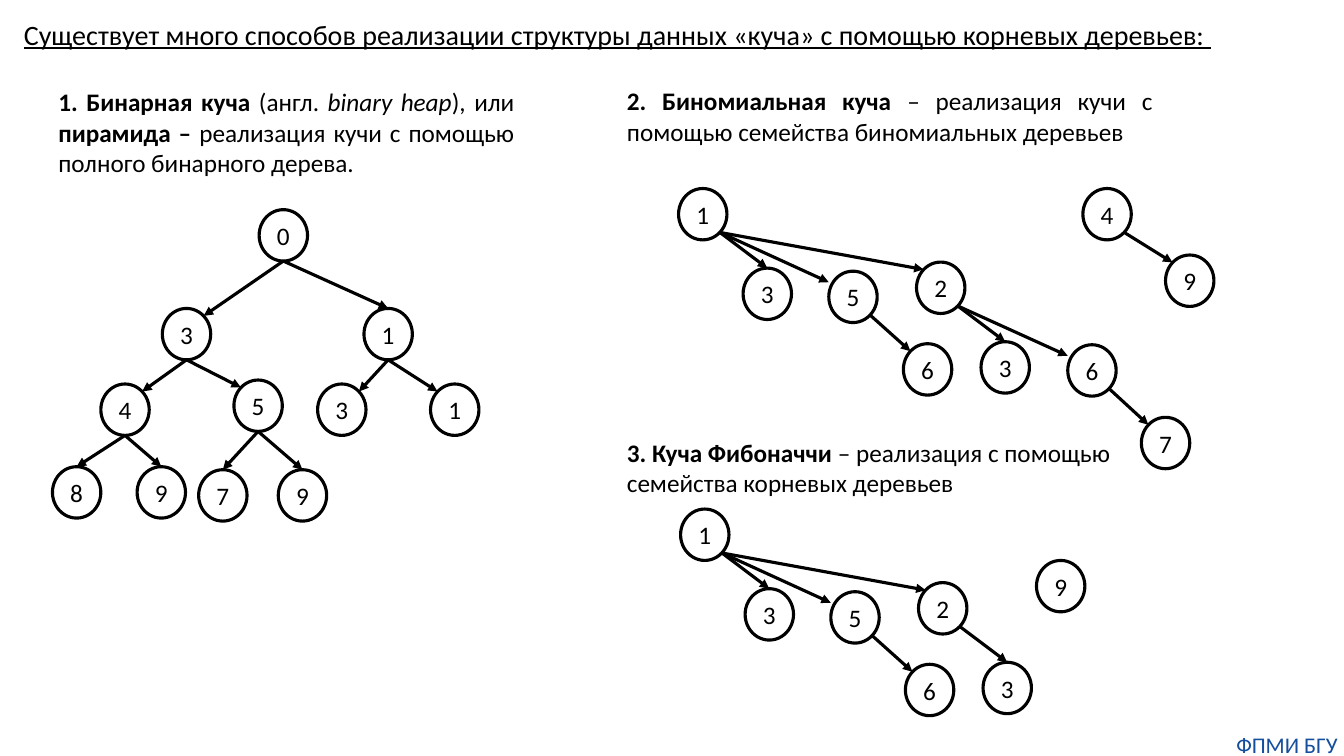
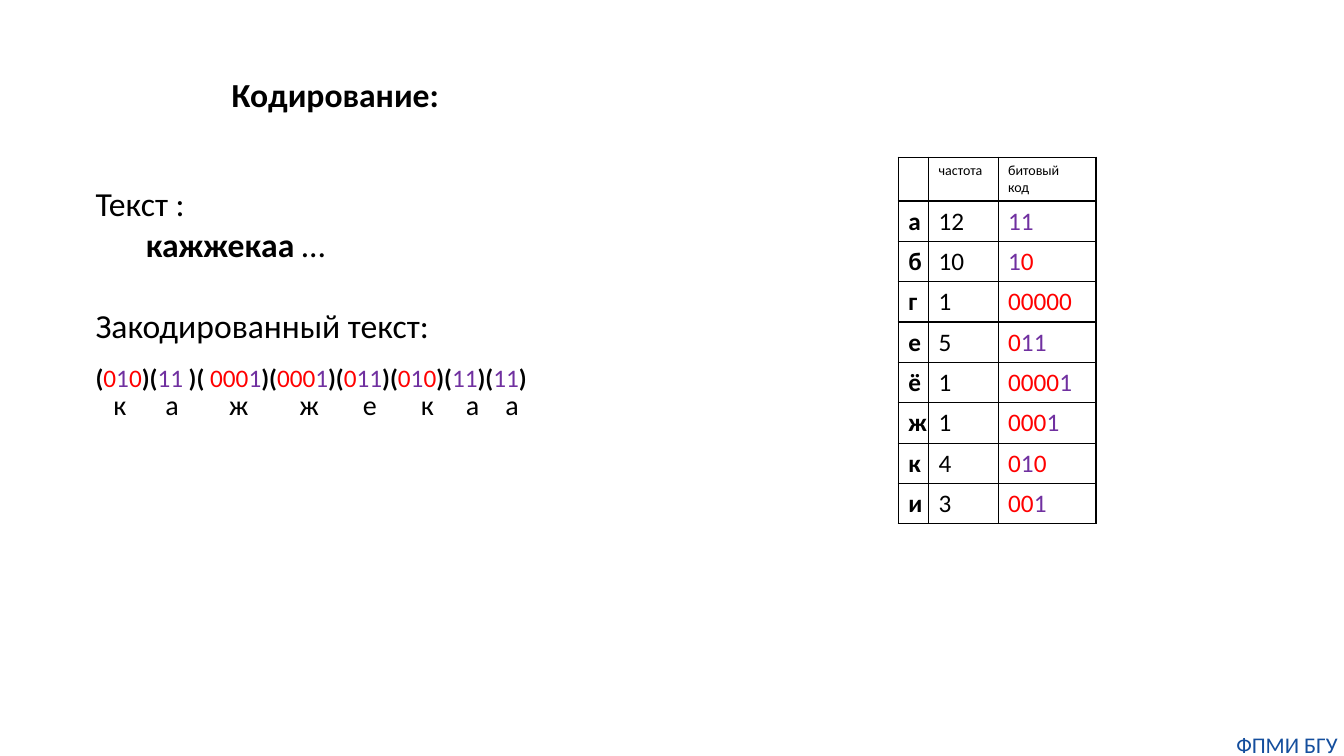
import itertools

import pptx
import pptx.dml.color
import pptx.enum.shapes
import pptx.enum.text
import pptx.oxml
import pptx.oxml.ns
import pptx.util

Inches = pptx.util.Inches
Pt = pptx.util.Pt
ALIGN = pptx.enum.text.PP_ALIGN
FONT = "Calibri"
BLACK, RED, PURPLE, BLUE = "000000", "FF0000", "7030A0", "144E9D"
NODE_W, NODE_H = 0.48, 0.51
LINE_W = 2.25

# Points on a node, as shares of its half width and half height
SITES = {
    "top": (0, -1), "bottom": (0, 1), "side": (-1, -0.57),
    "nw": (-0.71, -0.71), "ne": (0.71, -0.71), "se": (0.71, 0.71),
}


def paint(code):
    return pptx.dml.color.RGBColor.from_string(code)


# Text
def write(para, runs, size, align=None):
    """Add runs to a paragraph; a run is a text and its font values."""
    para.alignment = align
    for text, form in runs:
        run = para.add_run()
        run.text = text
        look = {"name": FONT, "size": Pt(size), **form}
        run.font.color.rgb = paint(look.pop("color", BLACK))
        for key, value in look.items():
            setattr(run.font, key, value)


def add_text(slide, at, lines, size, align=None, wrap=True, inset=None):
    box = slide.shapes.add_textbox(*map(Inches, at))
    frame = box.text_frame
    frame.word_wrap = wrap
    if inset is not None:
        set_inset(frame, inset)
    for i, runs in enumerate(lines):
        para = frame.add_paragraph() if i else frame.paragraphs[0]
        write(para, runs, size, align)
    return box


def set_inset(frame, inset):
    for side in ("left", "top", "right", "bottom"):
        setattr(frame, f"margin_{side}", Inches(inset))


def plain(text, **form):
    return [(text, form)]


def color_bits(code):
    """Red zeros, purple ones, bold black for all else."""
    forms = {"0": {"color": RED}, "1": {"color": PURPLE}}
    kinds = itertools.groupby(code, lambda c: c if c in forms else "")
    return [("".join(part), forms.get(kind, {"bold": True}))
            for kind, part in kinds]


def add_tabs(para, stops):
    props = para._p.get_or_add_pPr()
    tabs = pptx.oxml.parse_xml(
        f'<a:tabLst {pptx.oxml.ns.nsdecls("a")}>'
        + "".join(f'<a:tab pos="{Inches(x)}" algn="ctr"/>' for x in stops)
        + "</a:tabLst>")
    props.append(tabs)


# Trees
def add_node(slide, left, top, label):
    oval = slide.shapes.add_shape(
        pptx.enum.shapes.MSO_SHAPE.OVAL,
        *map(Inches, (left, top, NODE_W, NODE_H)))
    oval.shadow.inherit = False
    oval.fill.background()
    oval.line.color.rgb = paint(BLACK)
    oval.line.width = Pt(LINE_W)
    frame = oval.text_frame
    frame.word_wrap = False
    frame.vertical_anchor = pptx.enum.text.MSO_ANCHOR.MIDDLE
    set_inset(frame, 0)
    write(frame.paragraphs[0], plain(label), 18, ALIGN.CENTER)


def find_site(node, site):
    left, top = node[:2]
    dx, dy = SITES[site]
    return (Inches(left + NODE_W / 2 * (1 + dx)),
            Inches(top + NODE_H / 2 * (1 + dy)))


def add_arrow(slide, start, end):
    line = slide.shapes.add_connector(
        pptx.enum.shapes.MSO_CONNECTOR.STRAIGHT, *start, *end)
    line.line.color.rgb = paint(BLACK)
    line.line.width = Pt(LINE_W)
    space = pptx.oxml.ns.nsdecls("a")
    line.line._get_or_add_ln().append(
        pptx.oxml.parse_xml(f'<a:tailEnd {space} type="triangle"/>'))
    line._element.spPr.append(pptx.oxml.parse_xml(f"<a:effectLst {space}/>"))


def add_tree(slide, nodes, edges, exit_site, shift=(0, 0)):
    """Nodes: key -> left, top, label. Edges: parent, child, entry site."""
    nodes = {key: (x + shift[0], y + shift[1], label)
             for key, (x, y, label) in nodes.items()}
    for node in nodes.values():
        add_node(slide, *node)
    for parent, child, site in edges:
        add_arrow(slide, find_site(nodes[parent], exit_site),
                  find_site(nodes[child], site))


# Table
def add_grid(slide, left, top, widths, heights, rows):
    """Each cell is a list of paragraphs with a text size."""
    table = slide.shapes.add_table(
        len(rows), len(widths),
        *map(Inches, (left, top, sum(widths), sum(heights)))).table
    table.first_row = table.horz_banding = False
    for col, width in zip(table.columns, widths):
        col.width = Inches(width)
    for r, (row, height) in enumerate(zip(rows, heights)):
        table.rows[r].height = Inches(height)
        for c, (lines, size) in enumerate(row):
            cell = table.cell(r, c)
            cell.fill.background()
            add_edges(cell)
            for i, runs in enumerate(lines):
                frame = cell.text_frame
                para = frame.add_paragraph() if i else frame.paragraphs[0]
                write(para, runs, size)


def add_edges(cell):
    props = cell._tc.get_or_add_tcPr()
    for i, side in enumerate("LRTB"):
        props.insert(i, pptx.oxml.parse_xml(
            f'<a:ln{side} {pptx.oxml.ns.nsdecls("a")} w="{Pt(1)}"><a:solidFill>'
            f'<a:srgbClr val="{BLACK}"/></a:solidFill></a:ln{side}>'))


# Slides
def share_footer(slide):
    """Place the footer on the layout, so that every slide shows it."""
    box = add_text(slide, (12.2, 7.25, 1.13, 0.27),
                   [plain("ФПМИ БГУ", color=BLUE)], 16, ALIGN.CENTER, inset=0)
    slide.slide_layout.shapes._spTree.append(box._element)


def fill_heaps(slide):
    add_text(slide, (0, 0.12, 12.25, 0.44), [plain(
        "Существует много способов реализации структуры данных «куча» "
        "с помощью корневых деревьев: ", underline=True)], 20, ALIGN.CENTER)

    # Binary heap
    add_text(slide, (0.48, 0.81, 4.72, 1.01), [[
        ("1. Бинарная куча", {"bold": True}), (" (англ. ", {}),
        ("binary heap", {"italic": True}), ("), или ", {}),
        ("пирамида – ", {"bold": True}),
        ("реализация кучи с помощью полного бинарного дерева. ", {}),
    ]], 18, ALIGN.JUSTIFY)
    nodes = {
        "root": (2.57, 2.08, "0"),
        "L": (1.61, 3.06, "3"), "R": (3.61, 3.06, "1"),
        "LL": (1, 3.81, "4"), "LR": (2.32, 3.77, "5"),
        "RL": (3.15, 3.81, "3"), "RR": (4.27, 3.81, "1"),
        "LLL": (0.52, 4.63, "8"), "LLR": (1.36, 4.63, "9"),
        "LRL": (1.97, 4.66, "7"), "LRR": (2.76, 4.66, "9"),
    }
    edges = [("root", "L", "ne"), ("root", "R", "top")]
    for key in ("L", "R"):
        edges += [(key, key + "L", "ne"), (key, key + "R", "nw")]
    for key in ("LL", "LR"):
        edges += [(key, key + side, "top") for side in "LR"]
    add_tree(slide, nodes, edges, "bottom")

    # Binomial heap and Fibonacci heap share one tree
    nodes = {
        "one": (6.73, 1.87, "1"), "three": (7.37, 2.66, "3"),
        "five": (8.22, 2.69, "5"), "six": (8.96, 3.41, "6"),
        "two": (9.09, 2.6, "2"), "leaf": (9.73, 3.39, "3"),
    }
    edges = [("one", "three", "top"), ("one", "five", "side"),
             ("one", "two", "nw"), ("five", "six", "nw"),
             ("two", "leaf", "top")]
    more = {
        "big": (10.59, 3.42, "6"), "seven": (11.32, 4.14, "7"),
        "four": (10.74, 1.87, "4"), "nine": (11.56, 2.53, "9"),
    }
    links = [("two", "big", "side"), ("big", "seven", "nw"),
             ("four", "nine", "nw")]
    add_text(slide, (6.12, 0.8, 5.41, 0.71), [[
        ("2. Биномиальная куча ", {"bold": True}),
        ("– реализация кучи с помощью семейства биномиальных деревьев", {}),
    ]], 18, ALIGN.JUSTIFY)
    add_tree(slide, {**nodes, **more}, edges + links, "se")

    add_text(slide, (6.12, 4.29, 5.41, 0.71), [[
        ("3. Куча Фибоначчи ", {"bold": True}),
        ("– реализация с помощью семейства корневых деревьев", {}),
    ]], 18)
    add_tree(slide, nodes, edges, "se", shift=(0.02, 3.18))
    add_node(slide, 10.28, 5.56, "9")


def fill_code(slide):
    add_text(slide, (2.2, 0.68, 2.35, 0.5),
             [plain("Кодирование:", bold=True)], 24, wrap=False)

    # Code table
    codes = [("а", "12", "11"), ("б", "10", "10"), ("г", "1", "00000"),
             ("е", "5", "011"), ("ё", "1", "00001"), ("ж", "1", "0001"),
             ("к", "4", "010"), ("и", "3", "001")]
    rows = [[([], 10), ([plain("частота")], 10),
             ([plain("битовый"), plain("код")], 10)]]
    rows += [[([plain(sign, bold=True)], 18), ([plain(count)], 18),
              ([color_bits(code)], 18)] for sign, count, code in codes]
    add_grid(slide, 8.91, 1.56, (0.3, 0.69, 0.97),
             [0.43] + [0.4] * len(codes), rows)

    # Source text
    box = add_text(slide, (0.85, 1.77, 6.56, 1.72), [
        plain("Текст :"),
        [("кажжекaa", {"bold": True}), (" …", {})],
        plain("Закодированный текст:"),
    ], 24)
    word, head = box.text_frame.paragraphs[1:]
    word._p.get_or_add_pPr().set("marL", str(Inches(0.5)))
    head.space_before = Pt(29)

    # Coded text, with each letter centred under its code
    add_text(slide, (0.85, 3.55, 6.7, 0.4), [color_bits(
        "(010)(11 )( 0001)(0001)(011)(010)(11)(11)")], 18)
    box = add_text(slide, (0.85, 3.8, 4.7, 0.44),
                   [plain("".join("\t" + sign for sign in "кажжекаа"))], 20)
    add_tabs(box.text_frame.paragraphs[0],
             (0.24, 0.76, 1.42, 2.12, 2.72, 3.29, 3.74, 4.13))


def main():
    deck = pptx.Presentation()
    deck.slide_width, deck.slide_height = Inches(13.33), Inches(7.5)
    blank = deck.slide_layouts[6]
    heaps, code = (deck.slides.add_slide(blank) for _ in range(2))
    share_footer(heaps)
    fill_heaps(heaps)
    fill_code(code)
    deck.save("out.pptx")


if __name__ == "__main__":
    main()
